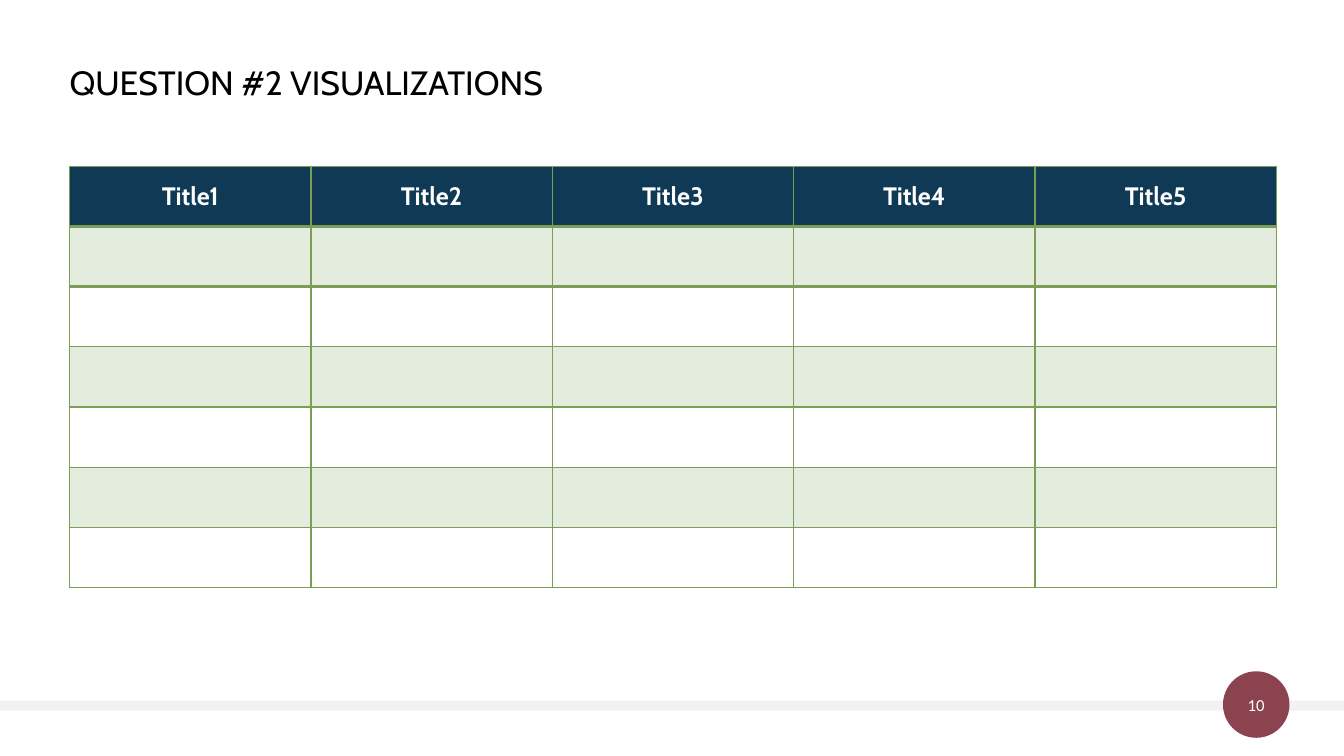
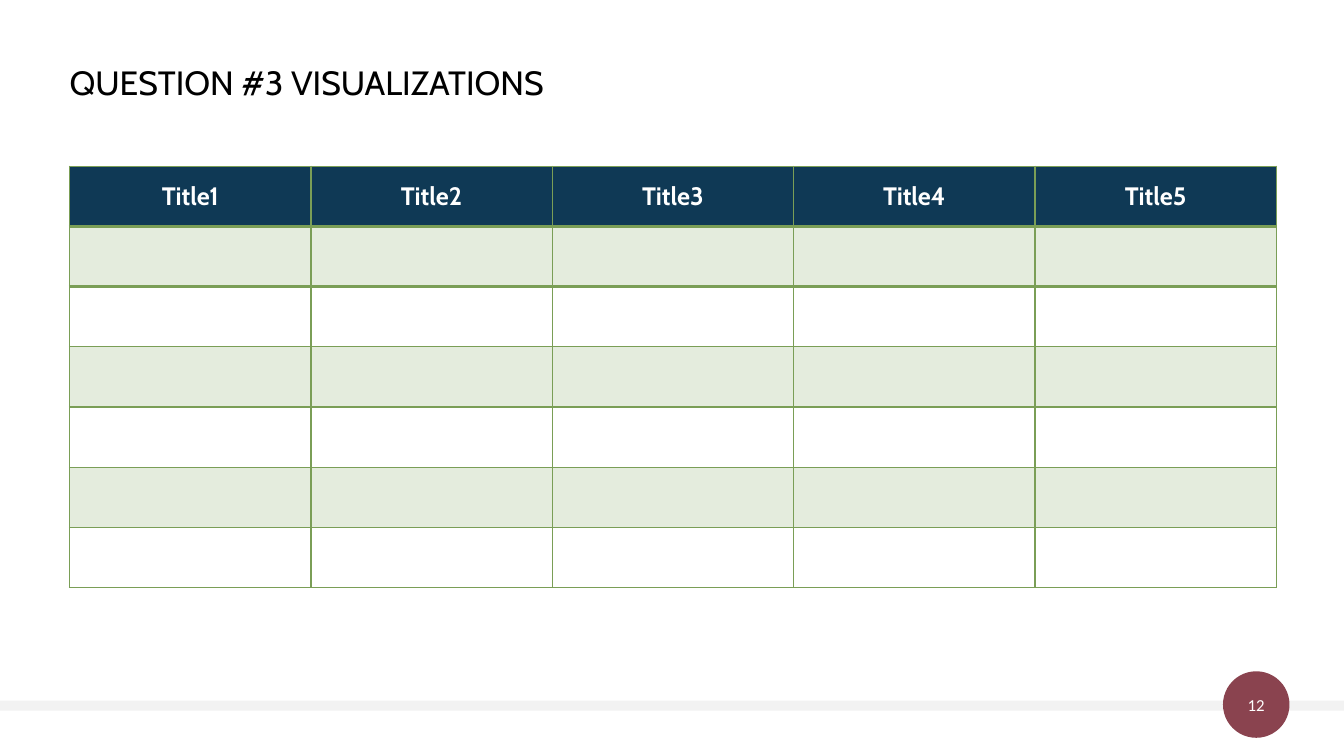
from dataclasses import dataclass

from lxml import etree
from pptx import Presentation
from pptx.dml.color import RGBColor
from pptx.enum.shapes import MSO_SHAPE
from pptx.enum.text import MSO_ANCHOR, PP_ALIGN
from pptx.oxml.ns import qn
from pptx.util import Inches, Pt


@dataclass(frozen=True)
class Theme:
    # Colours
    white: str = "FFFFFF"
    black: str = "000000"
    band: str = "F2F2F2"
    badge: str = "8A434F"
    header: str = "0F3955"
    stripe: str = "E4ECDD"
    border: str = "7A9E56"
    # Fonts and type sizes
    font: str = "Cabin"
    number_font: str = "Calibri"
    title_size: int = 24
    header_size: int = 18
    number_size: int = 12


THEME = Theme()
HEADERS = [f"Title{n}" for n in range(1, 6)]
BODY_ROWS = 6
SLIDES = [("QUESTION #2 VISUALIZATIONS", 10),
          ("QUESTION #3 VISUALIZATIONS", 12)]


def add_run(p, text, size, color, font=THEME.font, bold=False):
    r = p.add_run()
    r.text = text
    r.font.name = font
    r.font.size = Pt(size)
    r.font.bold = bold
    r.font.color.rgb = RGBColor.from_string(color)


def add_plain_shape(slide, kind, left, top, width, height, color):
    sp = slide.shapes.add_shape(kind, Inches(left), Inches(top),
                                Inches(width), Inches(height))
    sp.shadow.inherit = False
    sp.fill.solid()
    sp.fill.fore_color.rgb = RGBColor.from_string(color)
    sp.line.fill.background()
    return sp


def add_footer(slide, number):
    # Band across the slide, with the page number in a round badge
    add_plain_shape(slide, MSO_SHAPE.RECTANGLE, 0, 6.95, 13.33, 0.1, THEME.band)
    badge = add_plain_shape(slide, MSO_SHAPE.OVAL, 12.13, 6.66, 0.66, 0.66,
                            THEME.badge)
    tf = badge.text_frame
    tf.margin_left = tf.margin_right = tf.margin_top = tf.margin_bottom = 0
    tf.vertical_anchor = MSO_ANCHOR.MIDDLE
    p = tf.paragraphs[0]
    p.alignment = PP_ALIGN.CENTER
    add_run(p, str(number), THEME.number_size, THEME.white, THEME.number_font)


def add_title(slide, text):
    sp = slide.shapes.add_textbox(Inches(0.69), Inches(0.61),
                                  Inches(11.83), Inches(0.91))
    tf = sp.text_frame
    tf.word_wrap = True
    tf.margin_left = 0
    p = tf.paragraphs[0]
    p.line_spacing = 0.9
    add_run(p, text, THEME.title_size, THEME.black)


def set_borders(cell, top, bottom):
    # Borders come before the fill in the cell properties
    tcPr = cell._tc.get_or_add_tcPr()
    for side, width in (("L", 1), ("R", 1), ("T", top), ("B", bottom)):
        ln = etree.SubElement(tcPr, qn(f"a:ln{side}"), w=str(Pt(width)))
        fill = etree.SubElement(ln, qn("a:solidFill"))
        etree.SubElement(fill, qn("a:srgbClr"), val=THEME.border)


def style_cell(cell, row):
    # Heavier rules close the header and the first body row
    set_borders(cell, top=2 if row in (1, 2) else 1,
                bottom=2 if row in (0, 1) else 1)
    cell.vertical_anchor = MSO_ANCHOR.MIDDLE
    if row and row % 2 == 0:
        cell.fill.background()
    else:
        cell.fill.solid()
        color = THEME.stripe if row else THEME.header
        cell.fill.fore_color.rgb = RGBColor.from_string(color)


def add_grid(slide, headers, body_rows):
    table = slide.shapes.add_table(body_rows + 1, len(headers), Inches(0.69),
                                   Inches(1.65), Inches(11.97),
                                   Inches(4.18)).table
    for i in range(body_rows + 1):
        for cell in table.rows[i].cells:
            style_cell(cell, i)
    for cell, text in zip(table.rows[0].cells, headers):
        p = cell.text_frame.paragraphs[0]
        p.alignment = PP_ALIGN.CENTER
        add_run(p, text, THEME.header_size, THEME.white, bold=True)


def main():
    prs = Presentation()
    prs.slide_width, prs.slide_height = Inches(13.33), Inches(7.5)
    for title, number in SLIDES:
        slide = prs.slides.add_slide(prs.slide_layouts[6])
        add_footer(slide, number)
        add_title(slide, title)
        add_grid(slide, HEADERS, BODY_ROWS)
    prs.save("out.pptx")


if __name__ == "__main__":
    main()
